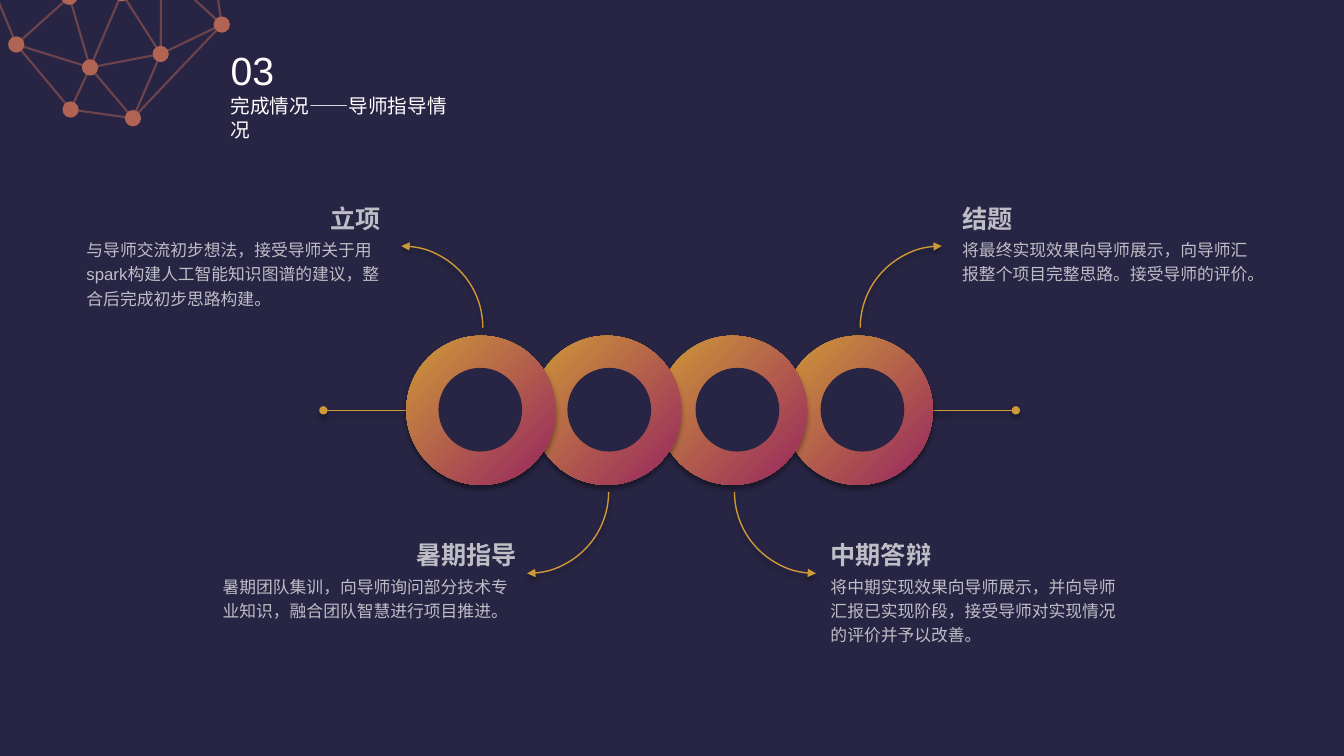
from lxml.etree import SubElement
from pptx import Presentation
from pptx.dml.color import RGBColor
from pptx.enum.shapes import MSO_CONNECTOR, MSO_SHAPE
from pptx.enum.text import MSO_ANCHOR, MSO_AUTO_SIZE, PP_ALIGN
from pptx.oxml.ns import qn
from pptx.util import Cm, Pt

COLORS = {"background": "282544", "gold": "CE9A37", "plum": "982560",
          "network": "B26454", "text": "FFFFFF", "shadow": "000000"}

# Ring chain, in cm
RING_SIZE, RING_PITCH = 3.76, 3.17
HOLE_SIZE = 2.11
HOLE_SHIFTS = (0.81, 0.89, 0.95, 0.93)
ARC_SIZE, ARC_OFFSET = 4.11, 0.05

# Network points, in cm; the upper-case ones carry no dot
POINTS = {"a": (1.75, -0.08), "b": (4.05, 1.36), "c": (3.07, -0.17),
          "d": (2.27, 1.7), "e": (5.59, 0.62), "f": (0.41, 1.12),
          "g": (3.35, 2.98), "h": (1.78, 2.76),
          "X": (4.06, -0.79), "Y": (5.33, -1.09), "Z": (-0.2, -0.36)}
EDGES = "bX bc cd bd ad Xe Ye be af df dg bg eg fh dh gh fZ".split()
DOT_SIZE = 0.41

# Left, top, alignment of the heading, heading, body lines, body
CALLOUTS = [
    (20.68, 13.32, PP_ALIGN.LEFT, "中期答辩", 3,
     "将中期实现效果向导师展示，并向导师汇报已实现阶段，接受导师对实现情况的评价并予以改善。"),
    (5.36, 13.32, PP_ALIGN.RIGHT, "暑期指导", 2,
     "暑期团队集训，向导师询问部分技术专业知识，融合团队智慧进行项目推进。"),
    (1.93, 4.84, PP_ALIGN.RIGHT, "立项", 3,
     "与导师交流初步想法，接受导师关于用spark构建人工智能知识图谱的建议，整合后完成初步思路构建。"),
    (24.0, 4.84, PP_ALIGN.LEFT, "结题", 2,
     "将最终实现效果向导师展示，向导师汇报整个项目完整思路。接受导师的评价。"),
]


def color(name):
    return RGBColor.from_string(COLORS[name])


def set_alpha(element, percent):
    for node in element.iter(qn("a:srgbClr")):
        SubElement(node, qn("a:alpha"), val=str(percent * 1000))


def set_effects(shape, shadow):
    """Replace the theme shadow by a soft drop shadow or by none."""
    effects = SubElement(shape.element.spPr, qn("a:effectLst"))
    if shadow:
        outer = SubElement(effects, qn("a:outerShdw"), blurRad=str(Pt(4)),
                           dist=str(Pt(3)), dir="5400000", algn="t", rotWithShape="0")
        SubElement(outer, qn("a:srgbClr"), val=COLORS["shadow"])
        set_alpha(outer, 40)


def set_line(shape, color_name, width, end=None, kind=None):
    shape.line.color.rgb = color(color_name)
    shape.line.width = Pt(width)
    if end:
        SubElement(shape.element.spPr.find(qn("a:ln")), qn(end), type=kind)


def add_line(shapes, start, finish):
    return shapes.add_connector(MSO_CONNECTOR.STRAIGHT,
                                *(Cm(value) for value in start + finish))


def add_disc(shapes, left, top, size, fill=None):
    disc = shapes.add_shape(MSO_SHAPE.OVAL, Cm(left), Cm(top), Cm(size), Cm(size))
    disc.line.fill.background()
    if fill:
        disc.fill.solid()
        disc.fill.fore_color.rgb = color(fill)
    else:
        disc.fill.gradient()
        disc.fill.gradient_angle = 315
        for stop, name in zip(disc.fill.gradient_stops, ("gold", "plum")):
            stop.color.rgb = color(name)
    set_effects(disc, shadow=not fill)


def write(shape, text, size, font="Arial", bold=False, align=PP_ALIGN.LEFT,
          spacing=None, wrap=True):
    frame = shape.text_frame
    frame.word_wrap = wrap
    frame.auto_size = MSO_AUTO_SIZE.NONE
    frame.vertical_anchor = MSO_ANCHOR.TOP
    paragraph = frame.paragraphs[0]
    paragraph.alignment = align
    if spacing:
        paragraph.line_spacing = spacing
    run = paragraph.add_run()
    run.text = text
    run.font.name, run.font.size, run.font.bold = font, Pt(size), bold
    run.font.color.rgb = color("text")


def add_header(slide, left, top):
    number = slide.shapes.add_textbox(Cm(left), Cm(top), Cm(1.6), Cm(1.45))
    write(number, "03", 28, wrap=False)
    title = slide.shapes.title
    title.left, title.top = Cm(left), Cm(top + 1.2)
    title.width, title.height = Cm(6.17), Cm(0.86)
    write(title, "完成情况——导师指导情况", 14, "Arial Narrow")


def add_network(slide, left, top):
    shapes = slide.shapes.add_group_shape().shapes
    points = {key: (left + x, top + y) for key, (x, y) in POINTS.items()}
    for key, (x, y) in points.items():
        if key.islower():
            add_disc(shapes, x - DOT_SIZE / 2, y - DOT_SIZE / 2, DOT_SIZE, "network")
    for first, second in EDGES:
        edge = add_line(shapes, points[first], points[second])
        set_line(edge, "network", 1.5)
        set_alpha(edge.element.spPr, 50)
        set_effects(edge, shadow=False)


def add_ring_chain(slide, left, top):
    shapes = slide.shapes
    axis = top + RING_SIZE / 2
    right = left + 3 * RING_PITCH + RING_SIZE

    # Axis lines, behind the rings
    for start, finish in ((right + 0.47, left - 2.09), (right, right + 2.09)):
        line = add_line(shapes, (start, axis), (finish, axis))
        set_line(line, "gold", 1, "a:tailEnd", "oval")
        set_effects(line, shadow=True)

    # Rings from right to left, each with its arrow
    for index in reversed(range(4)):
        ring_left = left + index * RING_PITCH
        add_disc(shapes, ring_left, top, RING_SIZE)
        add_disc(shapes, ring_left + HOLE_SHIFTS[index], top + 0.81,
                 HOLE_SIZE, "background")
        mirrored, below = index >= 2, index in (1, 2)
        arc_left = ring_left + RING_SIZE / 2 + ARC_OFFSET - (0 if mirrored else ARC_SIZE)
        arc = shapes.add_shape(MSO_SHAPE.ARC, Cm(arc_left),
                               Cm(axis if below else axis - ARC_SIZE - 0.03),
                               Cm(ARC_SIZE), Cm(ARC_SIZE))
        transform = arc.element.spPr.find(qn("a:xfrm"))
        transform.set("flipH", str(int(mirrored)))
        transform.set("flipV", str(int(below)))
        arc.fill.background()
        set_line(arc, "gold", 1, "a:headEnd", "triangle")
        set_effects(arc, shadow=True)


def add_callout(slide, left, top, align, heading, line_count, body):
    shapes = slide.shapes.add_group_shape().shapes
    width, heading_width = 7.92, 6.22
    body_box = shapes.add_textbox(Cm(left), Cm(top + 0.98), Cm(width),
                                  Cm(0.2 + 0.64 * line_count))
    write(body_box, body, 12, spacing=1.2)
    heading_left = left + (width - heading_width if align == PP_ALIGN.RIGHT else 0)
    heading_box = shapes.add_textbox(Cm(heading_left), Cm(top),
                                     Cm(heading_width), Cm(1.17))
    write(heading_box, heading, 18, bold=True, align=align, spacing=1.2)
    for box in (body_box, heading_box):
        set_alpha(box.element, 70)


def main():
    presentation = Presentation()
    presentation.slide_width, presentation.slide_height = Cm(33.87), Cm(19.05)
    slide = presentation.slides.add_slide(presentation.slide_layouts[5])
    slide.background.fill.solid()
    slide.background.fill.fore_color.rgb = color("background")

    add_ring_chain(slide, 10.24, 8.46)
    add_network(slide, 0, 0)
    add_header(slide, 5.56, 1.04)
    for callout in CALLOUTS:
        add_callout(slide, *callout)
    presentation.save("out.pptx")


if __name__ == "__main__":
    main()
